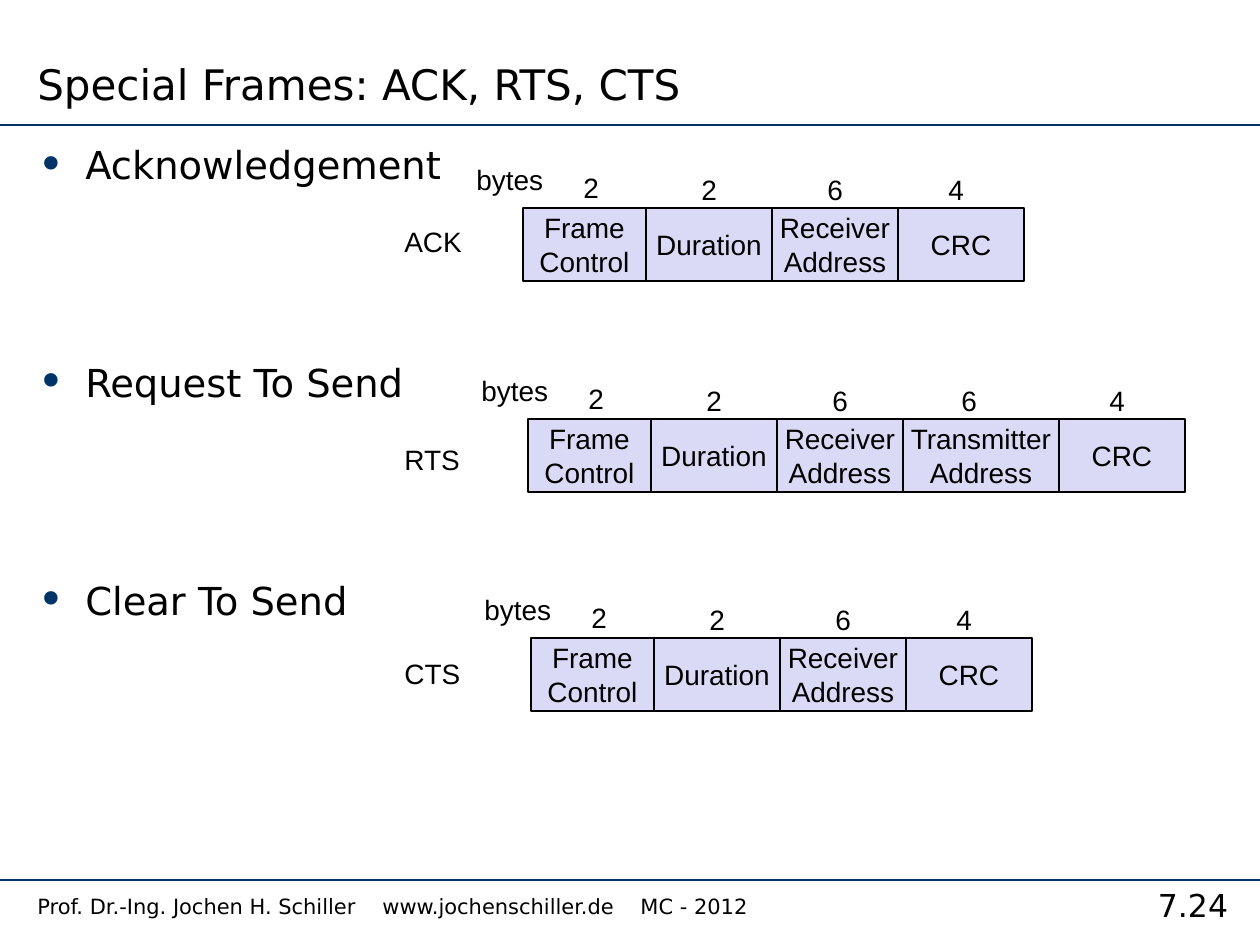
"""Build the slide on the ACK, RTS and CTS special frames."""
import dataclasses

import lxml.etree
import pptx
import pptx.dml.color
import pptx.enum.shapes
import pptx.enum.text
import pptx.oxml.ns
import pptx.util

ALIGN = pptx.enum.text.PP_ALIGN
ANCHOR = pptx.enum.text.MSO_ANCHOR


@dataclasses.dataclass(frozen=True)
class Theme:
    text: str = "000000"
    accent: str = "003366"
    cell: str = "DADAF6"
    heading_font: str = "DejaVu Sans"
    frame_font: str = "Arial"
    title_size: int = 24
    bullet_size: int = 22
    page_size: int = 18
    frame_size: int = 16
    footer_size: int = 12
    rule_width: float = 1
    cell_width: float = 0.75
    bullet_gap: float = 98


@dataclasses.dataclass(frozen=True)
class Field:
    lines: tuple
    size: str
    width: int
    size_left: int
    size_rise: int = 42


def px(length):
    return pptx.util.Emu(round(length * 914400 / 126))


def colour(value):
    return pptx.dml.color.RGBColor.from_string(value)


def add_element(parent, tag, **attributes):
    element = lxml.etree.SubElement(parent, pptx.oxml.ns.qn(tag))
    for name, value in attributes.items():
        element.set(name, str(value))
    return element


class SlidePainter:
    def __init__(self, slide, theme):
        self.slide = slide
        self.theme = theme

    def fill_text(self, box, lines, size, font, align=ALIGN.LEFT, anchor=ANCHOR.TOP, wrap=False):
        frame = box.text_frame
        frame.word_wrap = wrap
        frame.vertical_anchor = anchor
        for index, line in enumerate(lines):
            para = frame.paragraphs[0] if index == 0 else frame.add_paragraph()
            para.alignment = align
            span = para.add_run()
            span.text = line
            span.font.size = pptx.util.Pt(size)
            span.font.name = font
            span.font.color.rgb = colour(self.theme.text)
        return frame.paragraphs

    def text(self, place, lines, size, font, **layout):
        box = self.slide.shapes.add_textbox(*map(px, place))
        return self.fill_text(box, lines, size, font, **layout)

    def heading(self, place, line, size, **layout):
        return self.text(place, [line], size, self.theme.heading_font, wrap=True, **layout)

    def label(self, left, top, width, line):
        self.text((left, top, width, 47), [line], self.theme.frame_size, self.theme.frame_font)

    def rule(self, top):
        line = self.slide.shapes.add_connector(
            pptx.enum.shapes.MSO_CONNECTOR.STRAIGHT, px(0), px(top), px(1260), px(top))
        line.line.color.rgb = colour(self.theme.accent)
        line.line.width = pptx.util.Pt(self.theme.rule_width)
        add_element(line._element.spPr, "a:effectLst")

    def footer(self, place, parts, stops):
        paras = self.heading(place, "\t".join(parts), self.theme.footer_size)
        tabs = add_element(paras[0]._p.get_or_add_pPr(), "a:tabLst")
        for stop in stops:
            add_element(tabs, "a:tab", pos=px(stop), algn="l")

    def bullets(self, place, lines):
        theme = self.theme
        paras = self.text(place, lines, theme.bullet_size, theme.heading_font, wrap=True)
        for index, para in enumerate(paras):
            if index:
                para.space_before = pptx.util.Pt(theme.bullet_gap)
            properties = para._p.get_or_add_pPr()
            properties.set("marL", str(px(48)))
            properties.set("indent", str(px(-48)))
            add_element(add_element(properties, "a:buClr"), "a:srgbClr", val=theme.accent)
            add_element(properties, "a:buSzPct", val=120000)
            add_element(properties, "a:buFont", typeface=theme.heading_font)
            add_element(properties, "a:buChar", char="•")

    def cell(self, place, lines):
        theme = self.theme
        box = self.slide.shapes.add_shape(
            pptx.enum.shapes.MSO_SHAPE.RECTANGLE, *map(px, place))
        box.shadow.inherit = False
        box.fill.solid()
        box.fill.fore_color.rgb = colour(theme.cell)
        box.line.color.rgb = colour(theme.text)
        box.line.width = pptx.util.Pt(theme.cell_width)
        self.fill_text(
            box, lines, theme.frame_size, theme.frame_font, ALIGN.CENTER, ANCHOR.MIDDLE)

    def frame(self, name, name_top, name_width, left, top, fields):
        self.label(392, name_top, name_width, name)
        self.label(left - 59, top - 52, 92, "bytes")
        for field in fields:
            self.cell((left, top, field.width, 73), field.lines)
            self.label(left + field.size_left, top - field.size_rise, 40, field.size)
            left += field.width


def main():
    theme = Theme()
    deck = pptx.Presentation()
    deck.slide_width, deck.slide_height = px(1260), px(945)
    page = deck.slides.add_slide(deck.slide_layouts[6])
    painter = SlidePainter(page, theme)

    painter.rule(125)
    painter.rule(880)
    painter.heading((1126, 880, 134, 50), "7.24", theme.page_size, align=ALIGN.CENTER)
    painter.footer(
        (25, 887, 1101, 42),
        ("Prof. Dr.-Ing. Jochen H. Schiller", "www.jochenschiller.de", "MC - 2012"),
        (345, 603))
    painter.heading(
        (25, 0, 833, 115), "Special Frames: ACK, RTS, CTS", theme.title_size,
        anchor=ANCHOR.BOTTOM)
    painter.bullets(
        (25, 135, 1211, 737), ("Acknowledgement", "Request To Send", "Clear To Send"))

    control = Field(("Frame", "Control"), "2", 123, 48, 44)
    duration = Field(("Duration",), "2", 126, 43)
    receiver = Field(("Receiver", "Address"), "6", 126, 43)
    transmitter = Field(("Transmitter", "Address"), "6", 156, 46)
    checksum = Field(("CRC",), "4", 126, 38)
    start = (control, duration, receiver)
    painter.frame("ACK", 218, 83, 523, 208, (*start, checksum))
    painter.frame("RTS", 436, 81, 528, 419, (*start, transmitter, checksum))
    painter.frame("CTS", 650, 81, 531, 638, (*start, checksum))

    deck.save("out.pptx")


if __name__ == "__main__":
    main()
